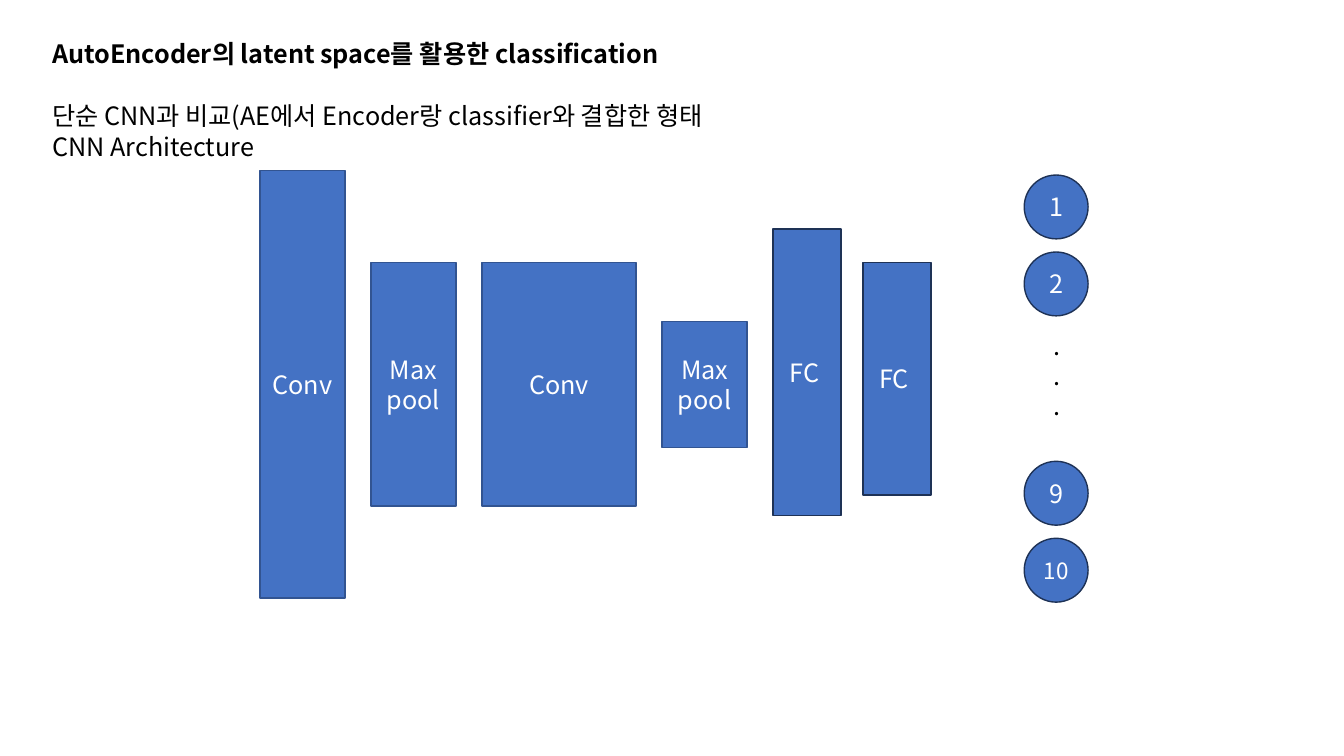
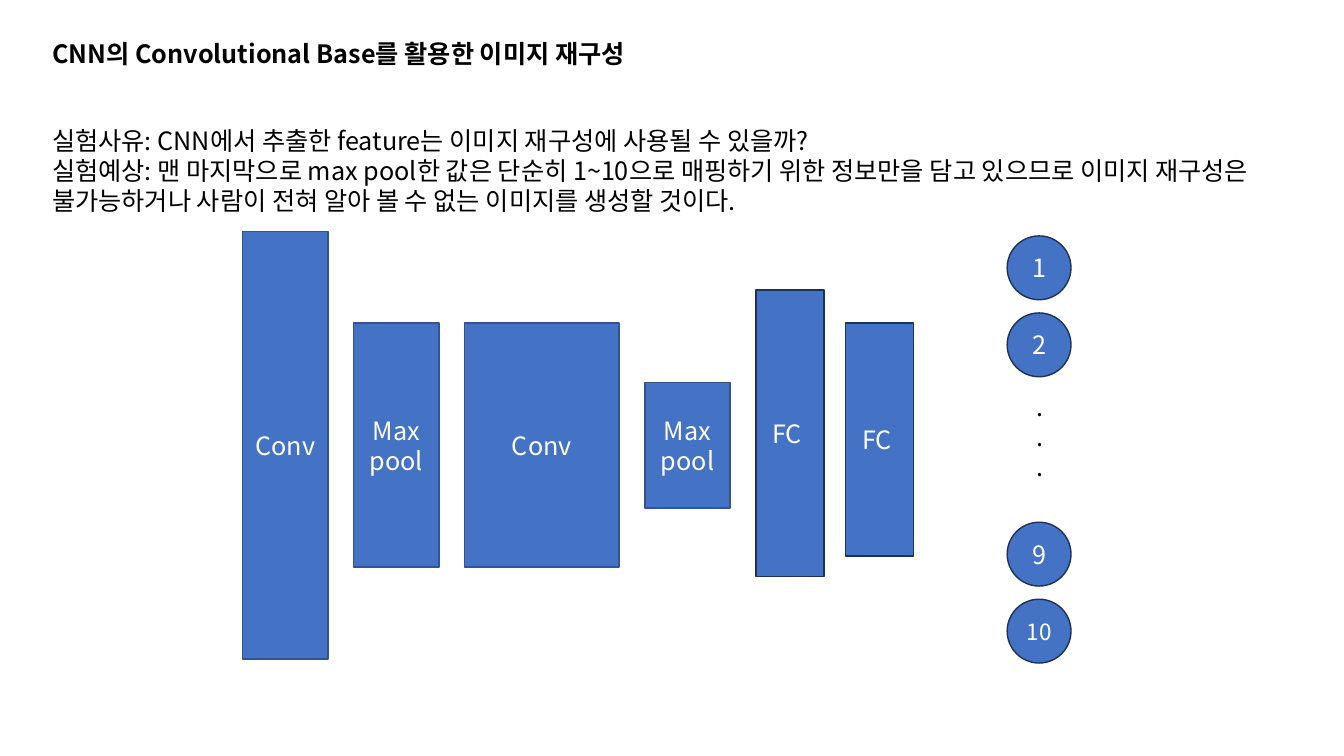
from pptx import Presentation
from pptx.dml.color import RGBColor
from pptx.enum.shapes import MSO_SHAPE
from pptx.enum.text import MSO_ANCHOR, PP_ALIGN
from pptx.util import Pt
from lxml.etree import SubElement
from pptx.oxml.ns import qn

FONT = "Noto Sans CJK KR"
BLACK = RGBColor(0x00, 0x00, 0x00)
WHITE = RGBColor(0xFF, 0xFF, 0xFF)
BLUE = RGBColor(0x44, 0x72, 0xC4)
MID_EDGE = RGBColor(0x32, 0x54, 0x91)
DARK_EDGE = RGBColor(0x1E, 0x32, 0x56)

LEFT_MARGIN = 30.2
TEXT_SIZE = 18
LINE_RATIO = 1.2

SLIDES = [
    {
        "title": "AutoEncoder의 latent space를 활용한 classification",
        "body": [
            "단순 CNN과 비교(AE에서 Encoder랑 classifier와 결합한 형태",
            "CNN Architecture",
        ],
        "body_top": 68.4,
        "body_width": 534.2,
        "network_origin": (185.6, 122),
    },
    {
        "title": "CNN의 Convolutional Base를 활용한 이미지 재구성",
        "body": [
            "실험사유: CNN에서 추출한 feature는 이미지 재구성에 사용될 수 있을까?",
            "실험예상: 맨 마지막으로 max pool한 값은 단순히 1~10으로 매핑하기 위한 정보만을 "
            "담고 있으므로 이미지 재구성은 불가능하거나 사람이 전혀 알아 볼 수 없는 이미지를 "
            "생성할 것이다.",
        ],
        "body_top": 85.7,
        "body_width": 893.5,
        "network_origin": (173.4, 165.5),
    },
]

# label, gap before, top, width, height, edge
LAYERS = [
    ("Conv", 0, 0, 60.8, 305.3, MID_EDGE),
    ("Max pool", 18.5, 65.3, 60.8, 174.2, MID_EDGE),
    ("Conv", 18.5, 65.3, 110.2, 174.2, MID_EDGE),
    ("Max pool", 18.5, 107.5, 60.8, 90, MID_EDGE),
    ("FC ", 18.5, 41.7, 48.6, 204.5, DARK_EDGE),
    ("FC ", 15.5, 65.3, 48.6, 166.3, DARK_EDGE),
]

CLASS_GROUPS = [
    (3, [("1", 18), ("2", 18)]),
    (207.5, [("9", 18), ("10", 16)]),
]
CLASS_LEFT = 546
CLASS_SIZE = 45.6
CLASS_STEP = 55
ELLIPSIS = [".", ".", "."]
ELLIPSIS_BOX = (560.2, 110.3, 45.4, 72.7)


def write_text(frame, lines, size=TEXT_SIZE, color=BLACK, bold=False,
               align=PP_ALIGN.LEFT, anchor=MSO_ANCHOR.TOP):
    frame.word_wrap = True
    frame.vertical_anchor = anchor
    for index, line in enumerate(lines):
        paragraph = frame.paragraphs[0] if index == 0 else frame.add_paragraph()
        paragraph.alignment = align
        paragraph.line_spacing = Pt(size * LINE_RATIO)
        run = paragraph.add_run()
        run.text = line
        run.font.name = FONT
        run.font.size = Pt(size)
        run.font.bold = bold
        run.font.color.rgb = color
        SubElement(run.font._element, qn("a:ea"), typeface=FONT)


def add_text(slide, lines, left, top, width, height, **text_format):
    box = slide.shapes.add_textbox(Pt(left), Pt(top), Pt(width), Pt(height))
    write_text(box.text_frame, lines, **text_format)


def add_node(slide, kind, label, left, top, width, height, edge, size=TEXT_SIZE):
    node = slide.shapes.add_shape(kind, Pt(left), Pt(top), Pt(width), Pt(height))
    node.shadow.inherit = False
    node.fill.solid()
    node.fill.fore_color.rgb = BLUE
    node.line.color.rgb = edge
    node.line.width = Pt(1)
    write_text(node.text_frame, [label], size=size, color=WHITE,
               align=PP_ALIGN.CENTER, anchor=MSO_ANCHOR.MIDDLE)


def add_network(slide, origin_left, origin_top):
    layer_left = origin_left
    for label, gap, top, width, height, edge in LAYERS:
        layer_left += gap
        add_node(slide, MSO_SHAPE.RECTANGLE, label, layer_left, origin_top + top,
                 width, height, edge)
        layer_left += width

    for group_top, classes in CLASS_GROUPS:
        for index, (label, size) in enumerate(classes):
            add_node(slide, MSO_SHAPE.OVAL, label, origin_left + CLASS_LEFT,
                     origin_top + group_top + index * CLASS_STEP,
                     CLASS_SIZE, CLASS_SIZE, DARK_EDGE, size=size)

    left, top, width, height = ELLIPSIS_BOX
    add_text(slide, ELLIPSIS, origin_left + left, origin_top + top, width, height)


def main():
    deck = Presentation()
    deck.slide_width = Pt(960)
    deck.slide_height = Pt(540)
    for content in SLIDES:
        slide = deck.slides.add_slide(deck.slide_layouts[6])
        add_text(slide, [content["title"]], LEFT_MARGIN, 23.8, 704.9, 29, bold=True)
        add_text(slide, content["body"], LEFT_MARGIN, content["body_top"],
                 content["body_width"], 72.7)
        add_network(slide, *content["network_origin"])
    deck.save("out.pptx")


if __name__ == "__main__":
    main()
